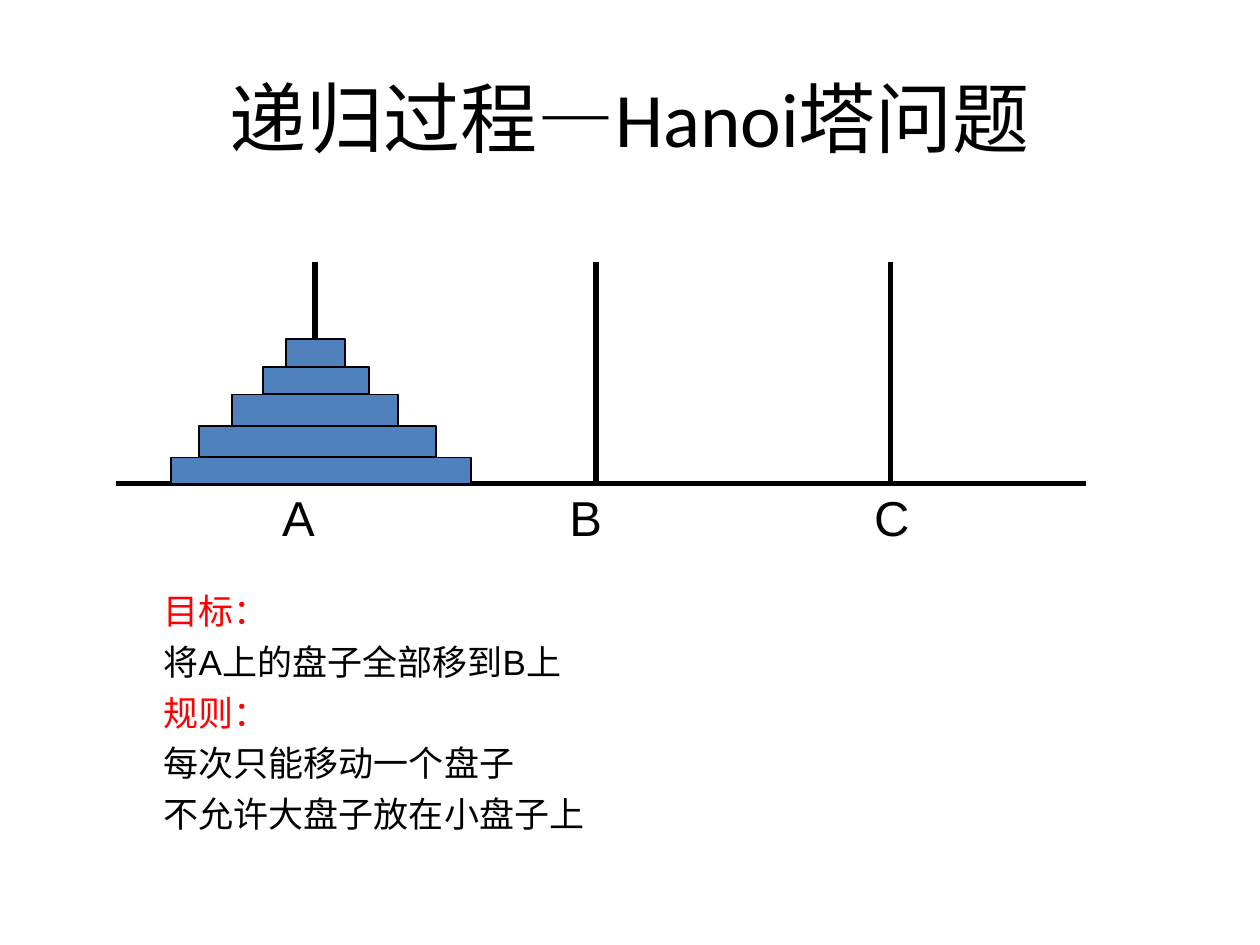
from lxml.etree import SubElement
from pptx import Presentation
from pptx.dml.color import RGBColor
from pptx.enum.shapes import MSO_CONNECTOR, MSO_SHAPE
from pptx.enum.text import MSO_ANCHOR, PP_ALIGN
from pptx.oxml.ns import qn
from pptx.util import Inches, Pt

BLACK = RGBColor(0x00, 0x00, 0x00)
RED = RGBColor(0xFF, 0x00, 0x00)
BLUE = RGBColor(0x4F, 0x81, 0xBD)

TITLE = "递归过程—Hanoi塔问题"
NOTES = [
    ("目标：", RED),
    ("将A上的盘子全部移到B上", BLACK),
    ("规则：", RED),
    ("每次只能移动一个盘子", BLACK),
    ("不允许大盘子放在小盘子上", BLACK),
]
# Peg name, peg position, centre of its label
PEGS = [("A", 2.5, 2.37), ("B", 4.73, 4.65), ("C", 7.07, 7.08)]
# Left, width, height of each disk, from the bottom up
DISKS = [(1.36, 2.38, 0.21), (1.58, 1.88, 0.25), (1.84, 1.32, 0.25),
         (2.09, 0.84, 0.22), (2.27, 0.47, 0.22)]
PEG_TOP, BASE = 2.08, 3.84
BASE_LEFT, BASE_RIGHT = 0.92, 8.62
LABELS_LEFT, INSET = 1.84, 0.1


def style_run(paragraph, font_name, size, color):
    font = paragraph.runs[0].font
    font.name, font.size, font.color.rgb = font_name, Pt(size), color


def add_bar(shapes, x1, y1, x2, y2):
    bar = shapes.add_connector(MSO_CONNECTOR.STRAIGHT, *map(Inches, (x1, y1, x2, y2)))
    bar.line.color.rgb, bar.line.width = BLACK, Pt(3)
    SubElement(bar._element.spPr, qn("a:effectLst"))


def add_disk(shapes, left, top, width, height):
    disk = shapes.add_shape(MSO_SHAPE.RECTANGLE, *map(Inches, (left, top, width, height)))
    disk.shadow.inherit = False
    disk.fill.solid()
    disk.fill.fore_color.rgb = BLUE
    disk.line.color.rgb, disk.line.width = BLACK, Pt(1)


def add_peg_labels(shapes):
    """Write all peg names on one line, each on a centred tab stop."""
    frame = shapes.add_textbox(*map(Inches, (LABELS_LEFT, 3.82, 6.24, 0.57))).text_frame
    frame.word_wrap = True
    labels = frame.paragraphs[0]
    labels.text = "".join("\t" + name for name, _, _ in PEGS)
    style_run(labels, "Arial", 28, BLACK)
    tabs = SubElement(labels._p.get_or_add_pPr(), qn("a:tabLst"))
    for _, _, centre in PEGS:
        position = Inches(centre - LABELS_LEFT - INSET)
        SubElement(tabs, qn("a:tab"), pos=str(position), algn="ctr")


def add_tower(slide):
    shapes = slide.shapes.add_group_shape().shapes
    add_bar(shapes, BASE_LEFT, BASE, BASE_RIGHT, BASE)
    for _, x, _ in PEGS:
        add_bar(shapes, x, PEG_TOP, x, BASE)
    top = BASE
    for left, width, height in DISKS:
        top -= height
        add_disk(shapes, left, top, width, height)
    add_peg_labels(shapes)


def add_title(slide):
    title = slide.shapes.title
    title.left, title.top, title.width, title.height = map(Inches, (0.5, 0.3, 9, 1.25))
    frame = title.text_frame
    frame.text = TITLE
    frame.vertical_anchor = MSO_ANCHOR.MIDDLE
    frame.paragraphs[0].alignment = PP_ALIGN.CENTER
    style_run(frame.paragraphs[0], "Calibri", 44, BLACK)


def add_notes(slide):
    frame = slide.shapes.add_textbox(*map(Inches, (1.2, 4.6, 7.71, 2.07))).text_frame
    frame.word_wrap = True
    frame.text = "\n".join(text for text, _ in NOTES)
    for paragraph, (_, color) in zip(frame.paragraphs, NOTES):
        paragraph.line_spacing = 1.1
        paragraph.space_before = Pt(2.5)
        style_run(paragraph, "Arial", 20, color)


def main():
    deck = Presentation()
    deck.slide_width, deck.slide_height = Inches(10), Inches(7.5)
    slide = deck.slides.add_slide(deck.slide_layouts[5])
    add_title(slide)
    add_notes(slide)
    add_tower(slide)
    deck.save("out.pptx")


if __name__ == "__main__":
    main()
